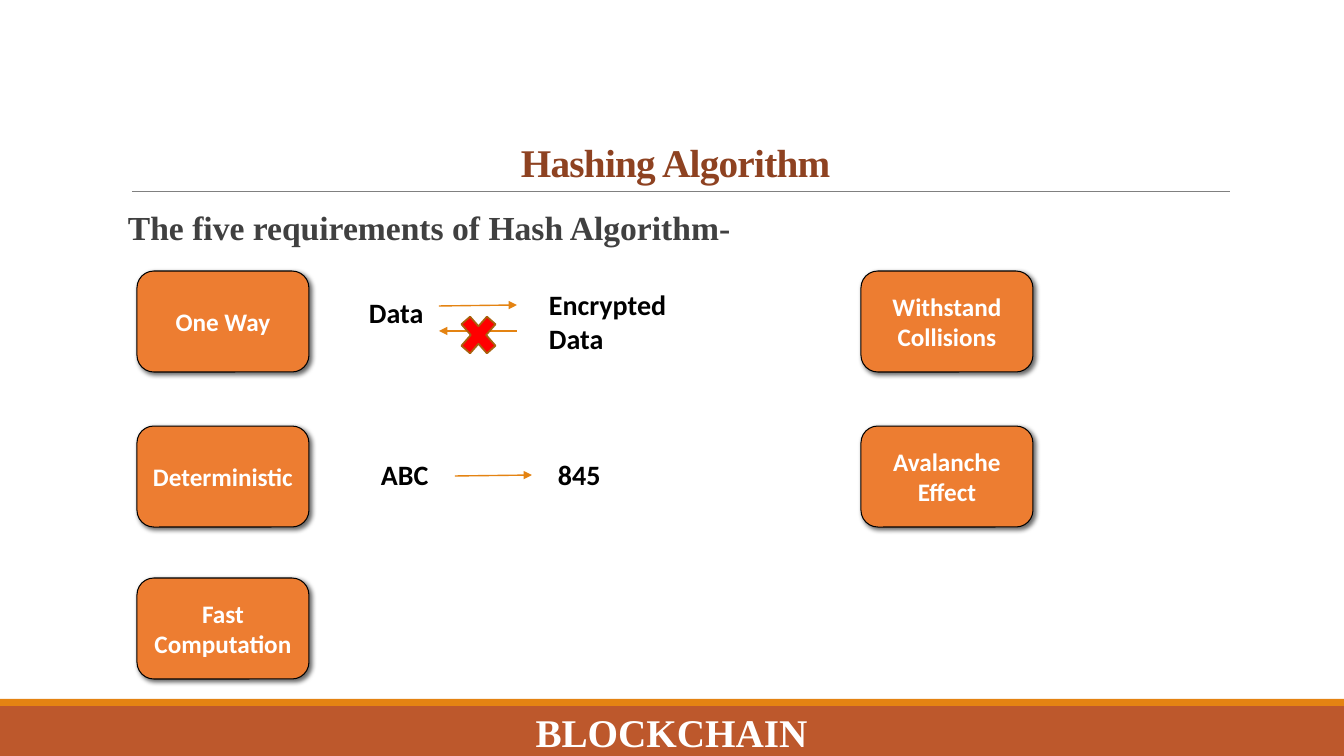
from lxml.etree import SubElement
from pptx import Presentation
from pptx.dml.color import RGBColor
from pptx.enum.shapes import MSO_CONNECTOR as Line, MSO_SHAPE as Shape
from pptx.enum.text import MSO_ANCHOR as Anchor, PP_ALIGN as Align
from pptx.oxml.ns import qn
from pptx.util import Pt

RUST = RGBColor(0xBD, 0x58, 0x2C)
AMBER = RGBColor(0xE4, 0x83, 0x12)
ORANGE = RGBColor(0xED, 0x7D, 0x31)
BROWN = RGBColor(0x8E, 0x42, 0x21)
OCHRE = RGBColor(0xA9, 0x61, 0x0D)
RED = RGBColor(0xFF, 0, 0)
CHARCOAL = RGBColor(0x40, 0x40, 0x40)
GRAY = RGBColor(0x80, 0x80, 0x80)
BLACK = RGBColor(0, 0, 0)
WHITE = RGBColor(0xFF, 0xFF, 0xFF)
SERIF, SANS = "Times New Roman", "Calibri"

# Lengths in px on a 1344 x 756 slide
SLIDE_W, SLIDE_H = 1344, 756
EMU_PER_PX = 12192000 / SLIDE_W

TITLE = "Hashing Algorithm"
SUBTITLE = "The five requirements of Hash Algorithm-"
FOOTER = "BLOCKCHAIN"
REQUIREMENTS = [
    ["One Way", "Withstand Collisions"],
    ["Deterministic", "Avalanche Effect"],
    ["Fast Computation"],
]
COLUMN_LEFTS, ROW_TOPS = (137, 861), (271, 426, 578)
CARD_W, CARD_H = 172, 101

EXAMPLES = [  # lines, left, top, width, height
    (["Data"], 359, 291, 82, 44),
    (["Encrypted", "Data"], 539, 283, 200, 81),
    (["ABC"], 371, 453, 82, 44),
    (["845"], 548, 453, 89, 44),
]
ARROWS = [  # start, end
    ((439, 306), (517, 305)),
    ((517, 331), (439, 331)),
    ((455, 476), (532, 475)),
]
CROSS = (454, 307, 49, 56)
BANDS = [(RUST, 706, 50), (AMBER, 699, 7)]  # colour, top, height


def px(*lengths):
    return [round(length * EMU_PER_PX) for length in lengths]


def write(shape, lines, size, color, font=SANS, align=Align.LEFT, anchor=Anchor.TOP, spacing=None):
    frame = shape.text_frame
    frame.word_wrap = True
    frame.vertical_anchor = anchor
    for index, line in enumerate(lines):
        paragraph = frame.paragraphs[0] if index == 0 else frame.add_paragraph()
        paragraph.alignment = align
        paragraph.line_spacing = spacing
        run = paragraph.add_run()
        run.text = line
        run.font.name, run.font.size, run.font.bold = font, Pt(size), True
        run.font.color.rgb = color
    return frame


def add_filled(slide, kind, box, fill, outline=None, width=0):
    shape = slide.shapes.add_shape(kind, *px(*box))
    shape.shadow.inherit = False
    shape.fill.solid()
    shape.fill.fore_color.rgb = fill
    if outline is None:
        shape.line.fill.background()
    else:
        shape.line.color.rgb = outline
        shape.line.width = Pt(width)
    return shape


def add_line(slide, start, end, color, width, arrow=False):
    line = slide.shapes.add_connector(Line.STRAIGHT, *px(*start, *end))
    line.line.color.rgb = color
    line.line.width = Pt(width)
    if arrow:
        SubElement(line.line._get_or_add_ln(), qn("a:tailEnd"), type="triangle")
    SubElement(line._element.spPr, qn("a:effectLst"))


def add_card(slide, label, left, top):
    card = add_filled(slide, Shape.ROUNDED_RECTANGLE, (left, top, CARD_W, CARD_H), ORANGE, BLACK, 0.75)
    effects = card._element.spPr.find(qn("a:effectLst"))
    shadow = SubElement(effects, qn("a:outerShdw"), blurRad=str(Pt(3.5)), dist=str(Pt(2)),
                        dir="2700000", algn="ctr", rotWithShape="0")
    tint = SubElement(shadow, qn("a:srgbClr"), val=str(BLACK))
    SubElement(tint, qn("a:alpha"), val="60000")
    write(card, [label], 18, WHITE, align=Align.CENTER, anchor=Anchor.MIDDLE)


def add_text(slide, lines, box, *style, **layout):
    return write(slide.shapes.add_textbox(*px(*box)), lines, *style, **layout)


def main():
    deck = Presentation()
    deck.slide_width, deck.slide_height = px(SLIDE_W, SLIDE_H)
    slide = deck.slides.add_slide(deck.slide_layouts[6])

    for color, top, height in BANDS:
        add_filled(slide, Shape.RECTANGLE, (0, top, SLIDE_W, height), color)
    add_line(slide, (132, 191), (1230, 191), GRAY, 0.5)

    title = add_text(slide, [TITLE], (121, 31, 1109, 160), 28, BROWN, SERIF,
                     align=Align.CENTER, anchor=Anchor.BOTTOM, spacing=0.85)
    title.paragraphs[0].runs[0].font._element.set("spc", "-50")
    add_text(slide, [SUBTITLE], (118, 206, 1109, 44), 24, CHARCOAL, SERIF, spacing=0.9)

    for top, labels in zip(ROW_TOPS, REQUIREMENTS):
        for left, label in zip(COLUMN_LEFTS, labels):
            add_card(slide, label, left, top)

    for lines, *box in EXAMPLES:
        add_text(slide, lines, box, 20, BLACK)
    for start, end in ARROWS:
        add_line(slide, start, end, AMBER, 1, arrow=True)
    add_filled(slide, Shape.MATH_MULTIPLY, CROSS, RED, OCHRE, 1.25)

    add_text(slide, [FOOTER], (406, 712, 531, 40), 28, WHITE, SERIF,
             align=Align.CENTER, anchor=Anchor.MIDDLE)
    deck.save("out.pptx")


if __name__ == "__main__":
    main()
